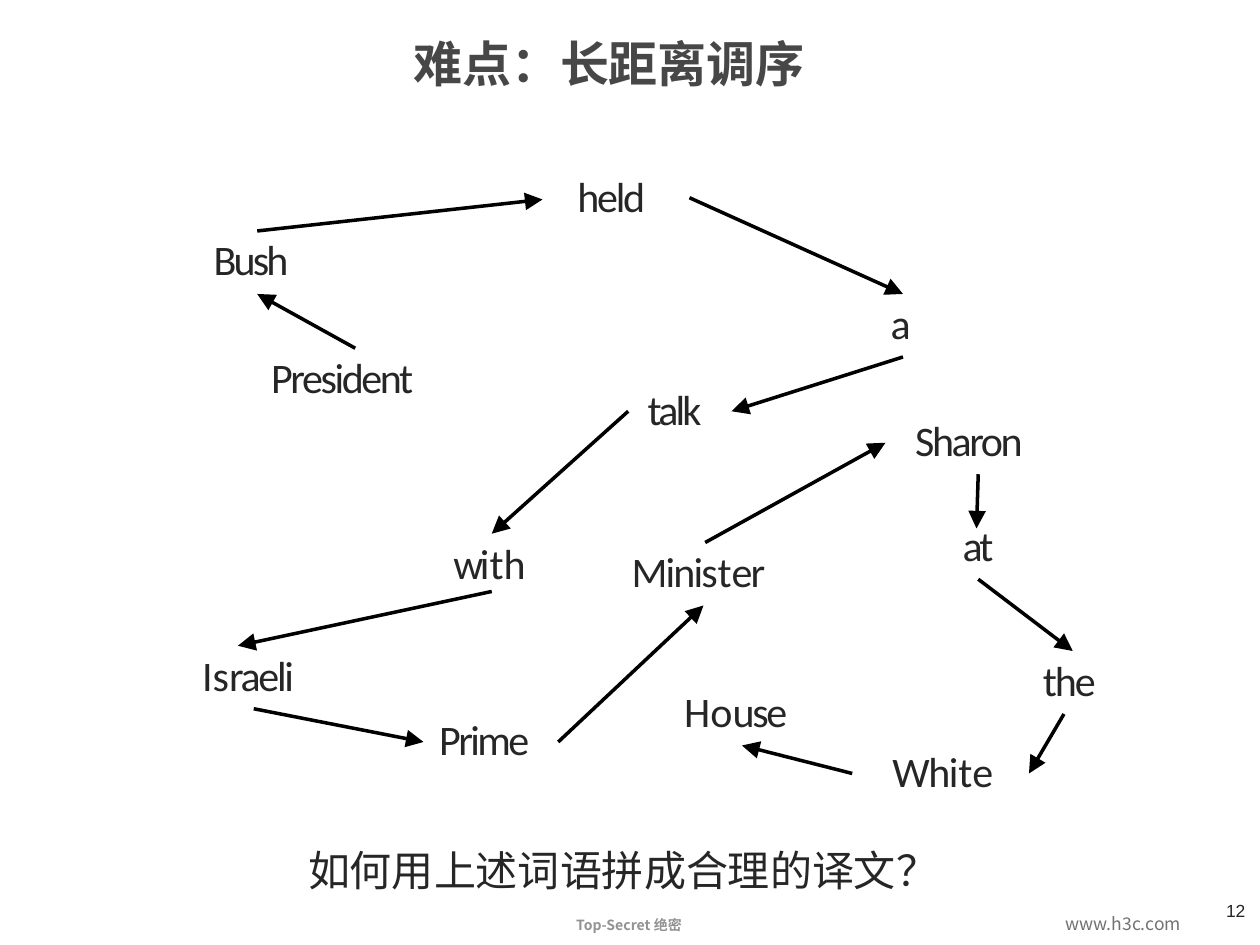
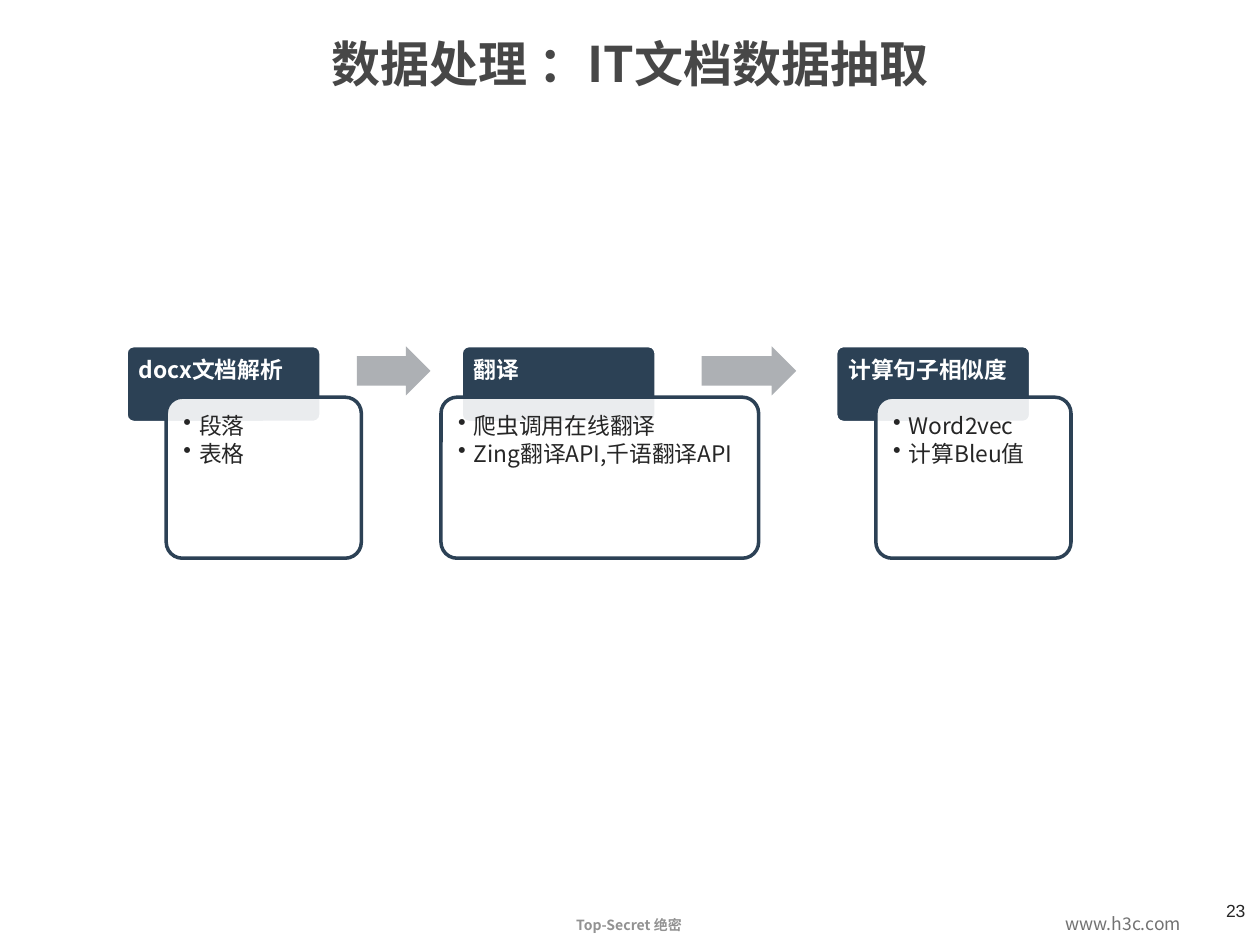
from lxml import etree
from pptx import Presentation
from pptx.dml.color import RGBColor
from pptx.enum.shapes import MSO_CONNECTOR, MSO_SHAPE
from pptx.enum.text import MSO_ANCHOR, PP_ALIGN
from pptx.oxml.ns import qn
from pptx.util import Pt

LEFT, CENTER = PP_ALIGN.LEFT, PP_ALIGN.CENTER
TOP, MIDDLE = MSO_ANCHOR.TOP, MSO_ANCHOR.MIDDLE
ROUNDED, RIGHT_ARROW = MSO_SHAPE.ROUNDED_RECTANGLE, MSO_SHAPE.RIGHT_ARROW
STRAIGHT = MSO_CONNECTOR.STRAIGHT

COLORS = {
    "title": "474747", "text": "262626", "secret": "929292", "site": "727272",
    "black": "000000", "white": "FFFFFF", "navy": "2C4155", "arrow": "ADB0B4",
}
SANS, SANS_JP, LATIN, NUMBER = "Noto Sans CJK SC", "Noto Sans CJK JP", "Calibri", "Arial"

# Left, top and the runs of each word with their letter spacing in points
WORDS = [
    (121, 132.5, [("Bush", -1.6)]),
    (154, 200, [("President", -1.4)]),
    (329, 96.5, [("held", -1.3)]),
    (508, 169, [("a", -1.6)]),
    (369, 218, [("talk", -1.6)]),
    (258, 306, [("wi", -1.9), ("t", -1.3), ("h", -1.4)]),
    (114.5, 370, [("I", -1.1), ("s", -1.7), ("raeli", -1.3)]),
    (250, 407, [("Prime", -1.5)]),
    (360, 311, [("Minis", -1.1), ("t", -0.8), ("er", -1.1)]),
    (522, 236, [("Sharon", -1.4)]),
    (549, 296, [("at", -1.6)]),
    (595, 373, [("the", -1.2)]),
    (509, 425, [("Whi", -0.9), ("t", -0.6), ("e", -1)]),
    (390, 391, [("H", -0.9), ("o", -0.7), ("use", -1.3)]),
]
# Start and end of each arrow, in reading order of the sentence
WORD_ARROWS = [
    (203, 199, 147, 168), (147, 132, 310, 114), (394, 113, 516, 168),
    (516, 204, 418, 235), (359, 235, 281, 305), (281, 338, 136, 369),
    (145, 405, 242, 424), (319, 424, 402, 346), (403, 310, 506, 253),
    (559, 271, 558, 302), (559, 331, 613, 372), (608, 408, 588, 442),
    (487, 442, 424, 426),
]
# Header left, panel left, panel width, heading, bullets
STEPS = [
    (72, 95, 111.5, "docx文档解析", ["段落", "表格"]),
    (263.5, 252, 181.5, "翻译", ["爬虫调用在线翻译", "Zing翻译API,千语翻译API"]),
    (477.5, 500.5, 111.5, "计算句子相似度", ["Word2vec", "计算Bleu值"]),
]
STEP_ARROWS = [(204, 42), (401, 54)]  # left, width


def color(name):
    return RGBColor.from_string(COLORS[name])


class Deck:
    def __init__(self):
        self.presentation = Presentation()
        self.presentation.slide_width, self.presentation.slide_height = Pt(720), Pt(540)
        self.slide = None

    def add_slide(self, title, title_left, title_width, number):
        self.slide = self.presentation.slides.add_slide(self.presentation.slide_layouts[5])
        placeholder = self.slide.shapes.title
        placeholder.left, placeholder.top = Pt(title_left), Pt(8)
        placeholder.width, placeholder.height = Pt(title_width), Pt(55)
        placeholder.text_frame.text = title
        self.frame(placeholder, MIDDLE, (0, 1, 0, 0))
        self.style(placeholder.text_frame.paragraphs[0], 28, "title", bold=True, align=CENTER)
        inset = (7.2, 3.6, 7.2, 3.6)
        self.text("Top-Secret 绝密", 290, 520, 139, 17, 8, "secret", bold=True,
                  align=CENTER, anchor=MIDDLE, inset=inset)
        self.text("www.h3c.com", 602, 518, 81, 19, 10, "site", anchor=MIDDLE, inset=inset)
        self.text(number, 693.5, 511, 26.5, 19, 10, "text", NUMBER, inset=inset)

    def frame(self, shape, anchor, inset, wrap=True):
        frame = shape.text_frame
        frame.word_wrap = wrap
        frame.vertical_anchor = anchor
        frame.margin_left, frame.margin_top, frame.margin_right, frame.margin_bottom = map(Pt, inset)

    def style(self, paragraph, size, ink, font=SANS, bold=False, align=LEFT):
        paragraph.alignment = align
        paragraph.font.size = Pt(size)
        paragraph.font.bold = bold
        paragraph.font.color.rgb = color(ink)
        paragraph.font.name = font
        defaults = paragraph._p.pPr.find(qn("a:defRPr"))
        etree.SubElement(defaults, qn("a:ea")).set("typeface", font)

    def text(self, content, left, top, width, height, size, ink, font=SANS,
             bold=False, align=LEFT, anchor=TOP, inset=(1, 1, 0, 0)):
        """Add a one-line text box; content is a string or (text, letter spacing) runs."""
        box = self.slide.shapes.add_textbox(Pt(left), Pt(top), Pt(width), Pt(height))
        self.frame(box, anchor, inset, wrap=align == CENTER)
        paragraph = box.text_frame.paragraphs[0]
        for piece, spacing in [(content, 0)] if isinstance(content, str) else content:
            run = paragraph.add_run()
            run.text = piece
            if spacing:
                run._r.get_or_add_rPr().set("spc", str(round(spacing * 100)))
        self.style(paragraph, size, ink, font, bold, align)

    def arrow(self, x1, y1, x2, y2):
        connector = self.slide.shapes.add_connector(STRAIGHT, Pt(x1), Pt(y1), Pt(x2), Pt(y2))
        connector.line.width = Pt(2)
        connector.line.color.rgb = color("black")
        head = etree.SubElement(connector.line._get_or_add_ln(), qn("a:tailEnd"))
        for key, value in (("type", "triangle"), ("w", "lg"), ("len", "lg")):
            head.set(key, value)
        etree.SubElement(connector._element.spPr, qn("a:effectLst"))

    def shape(self, kind, left, top, width, height, fill, line=None, adjustments=(0.1,)):
        shape = self.slide.shapes.add_shape(kind, Pt(left), Pt(top), Pt(width), Pt(height))
        shape.shadow.inherit = False
        for index, value in enumerate(adjustments):
            shape.adjustments[index] = value
        shape.fill.solid()
        shape.fill.fore_color.rgb = color(fill)
        if line:
            shape.line.width = Pt(2)
            shape.line.color.rgb = color(line)
        else:
            shape.line.fill.background()
        return shape

    def step_header(self, left, heading):
        header = self.shape(ROUNDED, left, 197.5, 111.5, 44, "navy", "white")
        self.frame(header, TOP, (6, 6, 6, 3.6))
        header.text_frame.text = heading
        paragraph = header.text_frame.paragraphs[0]
        paragraph.line_spacing = 0.9
        self.style(paragraph, 13, "white", bold=True)

    def step_panel(self, left, width, bullets):
        panel = self.shape(ROUNDED, left, 227, width, 92, "white", "navy")
        fill = panel._element.spPr.find(qn("a:solidFill"))
        etree.SubElement(fill[0], qn("a:alpha")).set("val", "90000")
        self.frame(panel, TOP, (7.2, 7.2, 7.2, 7.2))
        panel.text_frame.text = "\n".join(bullets)
        for paragraph in panel.text_frame.paragraphs:
            paragraph.line_spacing = 0.9
            paragraph.space_after = Pt(2)
            properties = paragraph._p.get_or_add_pPr()
            properties.set("marL", str(Pt(9)))
            properties.set("indent", str(Pt(-9)))
            etree.SubElement(properties, qn("a:buChar")).set("char", "•")
            self.style(paragraph, 13, "text")


def build_reordering(deck):
    deck.add_slide("难点：长距离调序", 171, 354, "12")
    for left, top, runs in WORDS:
        deck.text(runs, left, top, 98, 31, 24, "text", LATIN)
    for ends in WORD_ARROWS:
        deck.arrow(*ends)
    deck.text("如何用上述词语拼成合理的译文？", 175, 481.5, 362, 31, 24, "text", SANS_JP)


def build_extraction(deck):
    deck.add_slide("数据处理 ：IT文档数据抽取", 117, 486, "23")
    for header_left, panel_left, panel_width, heading, bullets in STEPS:
        deck.step_header(header_left, heading)
        deck.step_panel(panel_left, panel_width, bullets)
    for left, width in STEP_ARROWS:
        deck.shape(RIGHT_ARROW, left, 198, width, 28, "arrow", adjustments=(0.6, 0.5))


def main():
    deck = Deck()
    build_reordering(deck)
    build_extraction(deck)
    deck.presentation.save("out.pptx")


if __name__ == "__main__":
    main()
